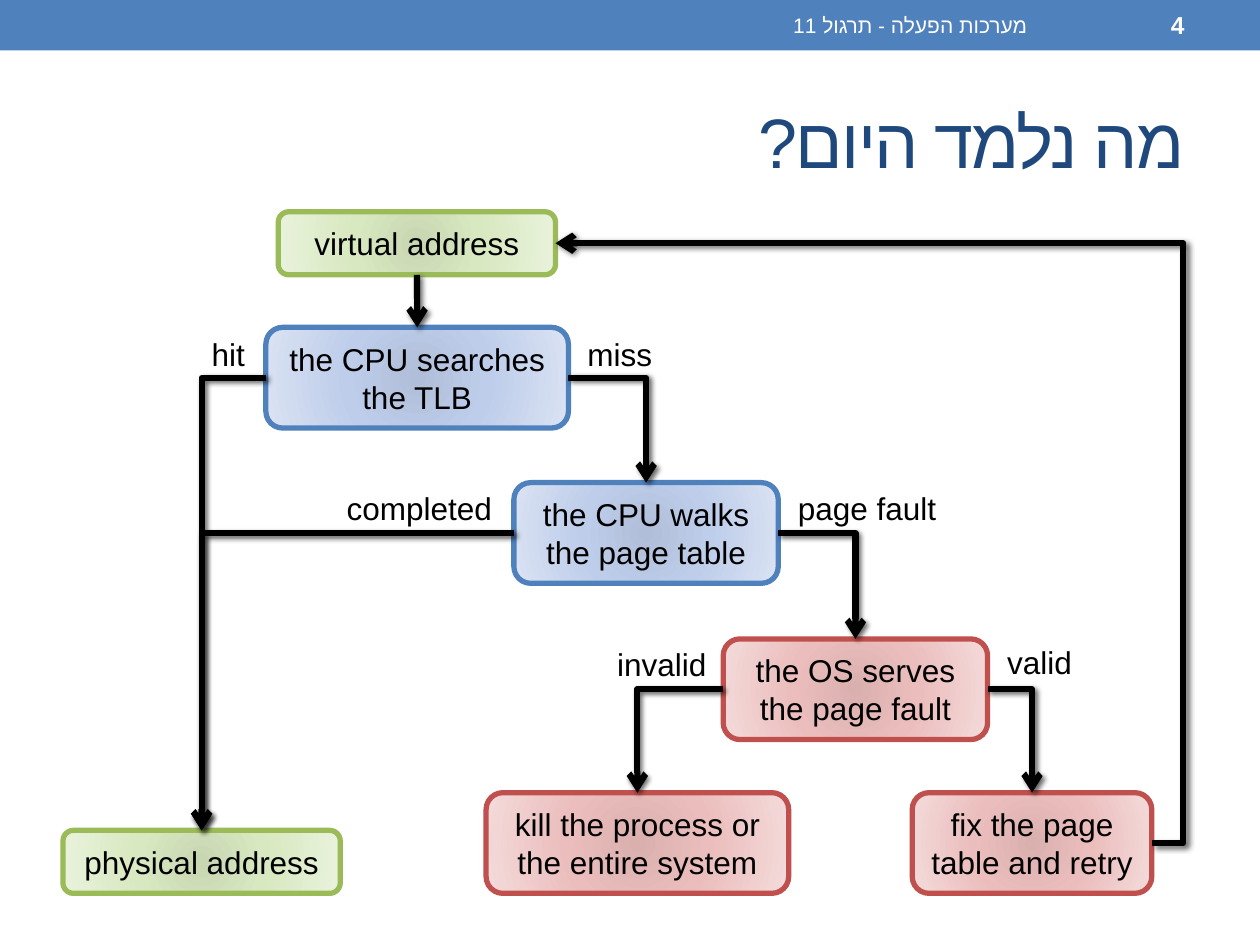
"""Build the slide that follows a virtual address through its translation."""
from lxml import etree
from pptx import Presentation
from pptx.dml.color import RGBColor
from pptx.enum import shapes, text
from pptx.oxml import ns
from pptx.util import Cm, Pt

FONT = "Arial"
BLACK = RGBColor(0x00, 0x00, 0x00)
WHITE = RGBColor(0xFF, 0xFF, 0xFF)
NAVY = RGBColor(0x1F, 0x49, 0x7D)
BLUE = RGBColor(0x4F, 0x81, 0xBD)
GREEN = RGBColor(0x9B, 0xBB, 0x59)
RED = RGBColor(0xC0, 0x50, 0x4D)
BLUE_GLOW = [RGBColor(0xB0, 0xBE, 0xD9), RGBColor(0xBE, 0xCD, 0xEA), RGBColor(0xDB, 0xE3, 0xF3)]
GREEN_GLOW = [RGBColor(0xC8, 0xD7, 0xB2), RGBColor(0xD8, 0xE8, 0xC0), RGBColor(0xE9, 0xF3, 0xDC)]
RED_GLOW = [RGBColor(0xDA, 0xB0, 0xAF), RGBColor(0xEB, 0xBE, 0xBD), RGBColor(0xF4, 0xDB, 0xDB)]
TOP, LEFT, BOTTOM, RIGHT = range(4)

STEPS = {
    "virtual address": (5.61, 4.27, 5.59, 1.27, GREEN, GREEN_GLOW),
    "the CPU searches the TLB": (5.36, 6.6, 6.1, 2.03, BLUE, BLUE_GLOW),
    "the CPU walks the page table": (10.36, 9.73, 5.33, 2.03, BLUE, BLUE_GLOW),
    "the OS serves the page fault": (14.58, 12.88, 5.33, 2.03, RED, RED_GLOW),
    "kill the process or the entire system": (9.8, 15.98, 6.1, 2.03, RED, RED_GLOW),
    "fix the page table and retry": (18.39, 15.98, 4.83, 2.03, RED, RED_GLOW),
    "physical address": (1.27, 16.74, 5.59, 1.27, GREEN, GREEN_GLOW),
}
OUTCOMES = [
    ("hit", 3.84, 6.63, 1.52),
    ("miss", 11.48, 6.63, 2.03),
    ("completed", 6.55, 9.73, 3.81),
    ("page fault", 15.7, 9.73, 3.56),
    ("invalid", 12.07, 12.88, 2.54),
    ("valid", 19.94, 12.83, 2.03),
]


def child(parent, tag, **attributes):
    """Append a DrawingML element and return it."""
    element = etree.SubElement(parent, ns.qn(f"a:{tag}"))
    for name, value in attributes.items():
        element.set(name, str(value))
    return element


def write(frame, words, size, color, align=text.PP_ALIGN.CENTER, bold=False):
    """Put one formatted paragraph into a text frame."""
    frame.word_wrap = True
    paragraph = frame.paragraphs[0]
    paragraph.text = words
    paragraph.alignment = align
    paragraph.font.name = FONT
    paragraph.font.size = Pt(size)
    paragraph.font.bold = bold
    paragraph.font.color.rgb = color
    return paragraph


def write_hebrew(frame, words, size, color, bold=False):
    """Put one right-to-left paragraph into a text frame."""
    frame.vertical_anchor = text.MSO_ANCHOR.MIDDLE
    paragraph = write(frame, words, size, color, text.PP_ALIGN.RIGHT, bold)
    properties = paragraph._p.get_or_add_pPr()
    properties.set("rtl", "1")
    letters = properties.find(ns.qn("a:defRPr"))
    child(letters, "cs", typeface=FONT)
    return letters


def add_label(slide, words, left, top, width, height=1.02):
    """Add a text box and return its text frame."""
    return slide.shapes.add_textbox(Cm(left), Cm(top), Cm(width), Cm(height)).text_frame


def add_header(slide):
    """Add the blue band with the course name and the slide number."""
    band = slide.shapes.add_shape(shapes.MSO_SHAPE.RECTANGLE, 0, 0, Cm(25.4), Cm(1.02))
    band.shadow.inherit = False
    band.fill.solid()
    band.fill.fore_color.rgb = BLUE
    band.line.fill.background()
    for words, left, width, size, bold in [
        ("מערכות הפעלה - תרגול 11", 9.53, 11.43, 12, False),
        ("4", 21.17, 2.96, 14, True),
    ]:
        write_hebrew(add_label(slide, words, left, 0.05, width, 0.91), words, size, WHITE, bold)


def set_title(slide, words):
    """Place and format the title."""
    title = slide.shapes.title
    title.left, title.top, title.width, title.height = Cm(1.27), Cm(1.47), Cm(22.86), Cm(2.74)
    write_hebrew(title.text_frame, words, 40, NAVY).set("spc", "-100")


def fill_glow(step, colors):
    """Fill a step with a gradient that spreads from its centre."""
    step.fill.background()
    blank = step._element.spPr.find(ns.qn("a:noFill"))
    glow = etree.Element(ns.qn("a:gradFill"), rotWithShape="1")
    stops = child(glow, "gsLst")
    for position, color in zip((0, 45000, 100000), colors):
        child(child(stops, "gs", pos=position), "srgbClr", val=color)
    spread = child(glow, "path", path="circle")
    child(spread, "fillToRect", **dict.fromkeys("ltrb", 100000))
    step._element.spPr.replace(blank, glow)


def add_step(slide, words, left, top, width, height, edge, glow):
    """Add one rounded step of the flow."""
    step = slide.shapes.add_shape(
        shapes.MSO_SHAPE.ROUNDED_RECTANGLE, Cm(left), Cm(top), Cm(width), Cm(height))
    step.shadow.inherit = False
    fill_glow(step, glow)
    step.line.color.rgb = edge
    step.line.width = Pt(3)
    step.text_frame.vertical_anchor = text.MSO_ANCHOR.MIDDLE
    write(step.text_frame, words, 18, BLACK)
    return step


def add_arrow(slide, start, start_side, end, end_side, route, bend=None):
    """Join two steps with a shadowed arrow along a preset route."""
    arrow = slide.shapes.add_connector(shapes.MSO_CONNECTOR.STRAIGHT, 0, 0, 0, 0)
    arrow.begin_connect(start, start_side)
    arrow.end_connect(end, end_side)
    arrow.line.color.rgb = BLACK
    arrow.line.width = Pt(3.5)
    properties = arrow._element.spPr
    outline = properties.find(ns.qn("a:ln"))
    child(outline, "tailEnd", type="arrow")
    geometry = properties.find(ns.qn("a:prstGeom"))
    geometry.set("prst", route)
    if bend is not None:
        child(geometry.find(ns.qn("a:avLst")), "gd", name="adj1", fmla=f"val {bend}")
    shadow = child(child(properties, "effectLst"), "outerShdw", blurRad=Pt(3), dist=Pt(2),
                   dir=45 * 60000, algn="tl", rotWithShape=0)
    child(child(shadow, "srgbClr", val=BLACK), "alpha", val=60000)


def main():
    """Build and save the slide."""
    deck = Presentation()
    deck.slide_width, deck.slide_height = Cm(25.4), Cm(19.05)
    slide = deck.slides.add_slide(deck.slide_layouts[5])
    add_header(slide)
    set_title(slide, "מה נלמד היום?")

    steps = [add_step(slide, words, *look) for words, look in STEPS.items()]
    virtual, search, walk, serve, kill, fix, physical = steps
    for words, left, top, width in OUTCOMES:
        write(add_label(slide, words, left, top, width), words, 18, BLACK)

    add_arrow(slide, virtual, BOTTOM, search, TOP, "straightConnector1")
    for start, side, end in [
        (search, LEFT, physical), (search, RIGHT, walk),
        (walk, LEFT, physical), (walk, RIGHT, serve),
        (serve, LEFT, kill), (serve, RIGHT, fix),
    ]:
        add_arrow(slide, start, side, end, TOP, "bentConnector2")
    add_arrow(slide, fix, RIGHT, virtual, RIGHT, "bentConnector3", -5300)
    deck.save("out.pptx")


if __name__ == "__main__":
    main()
